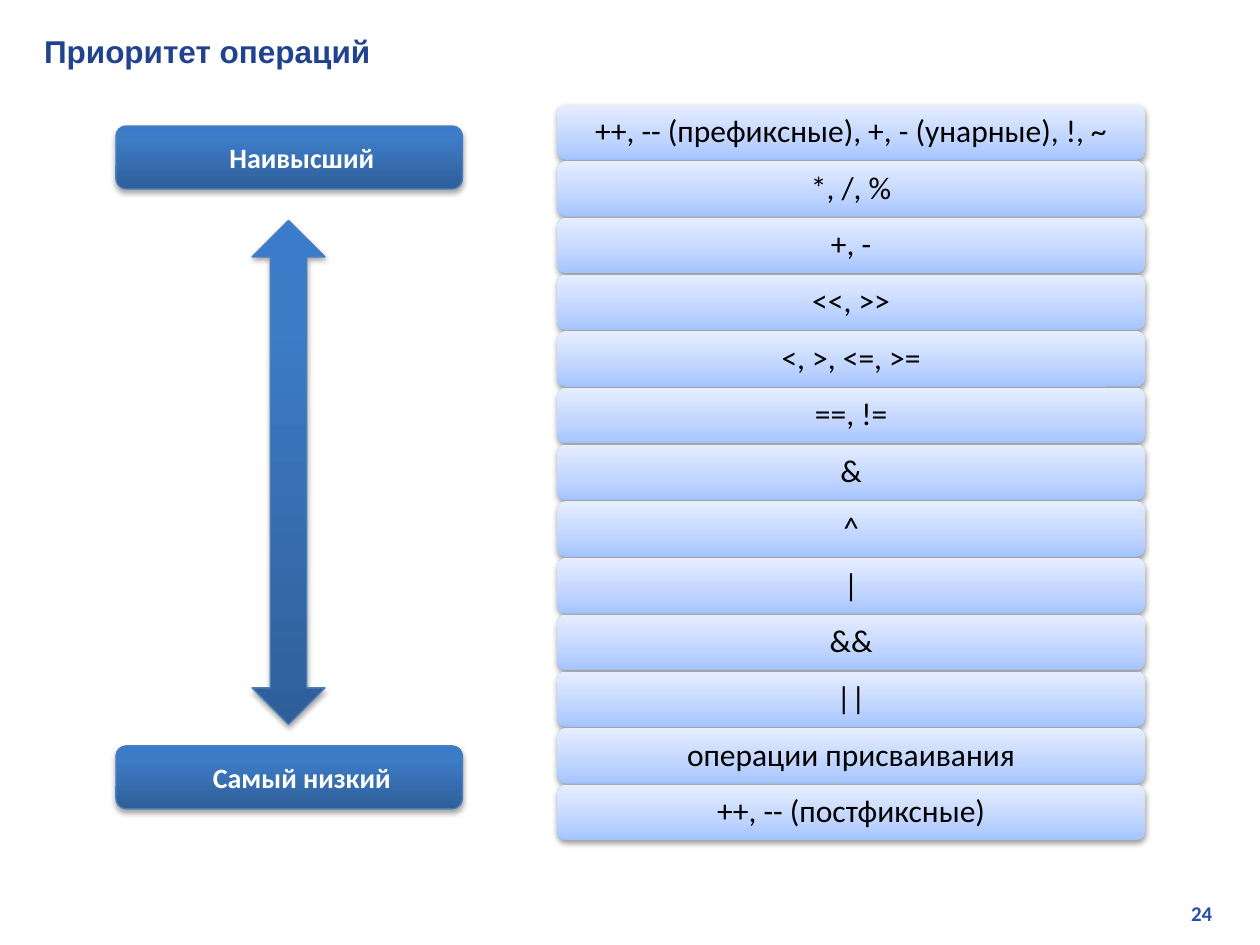
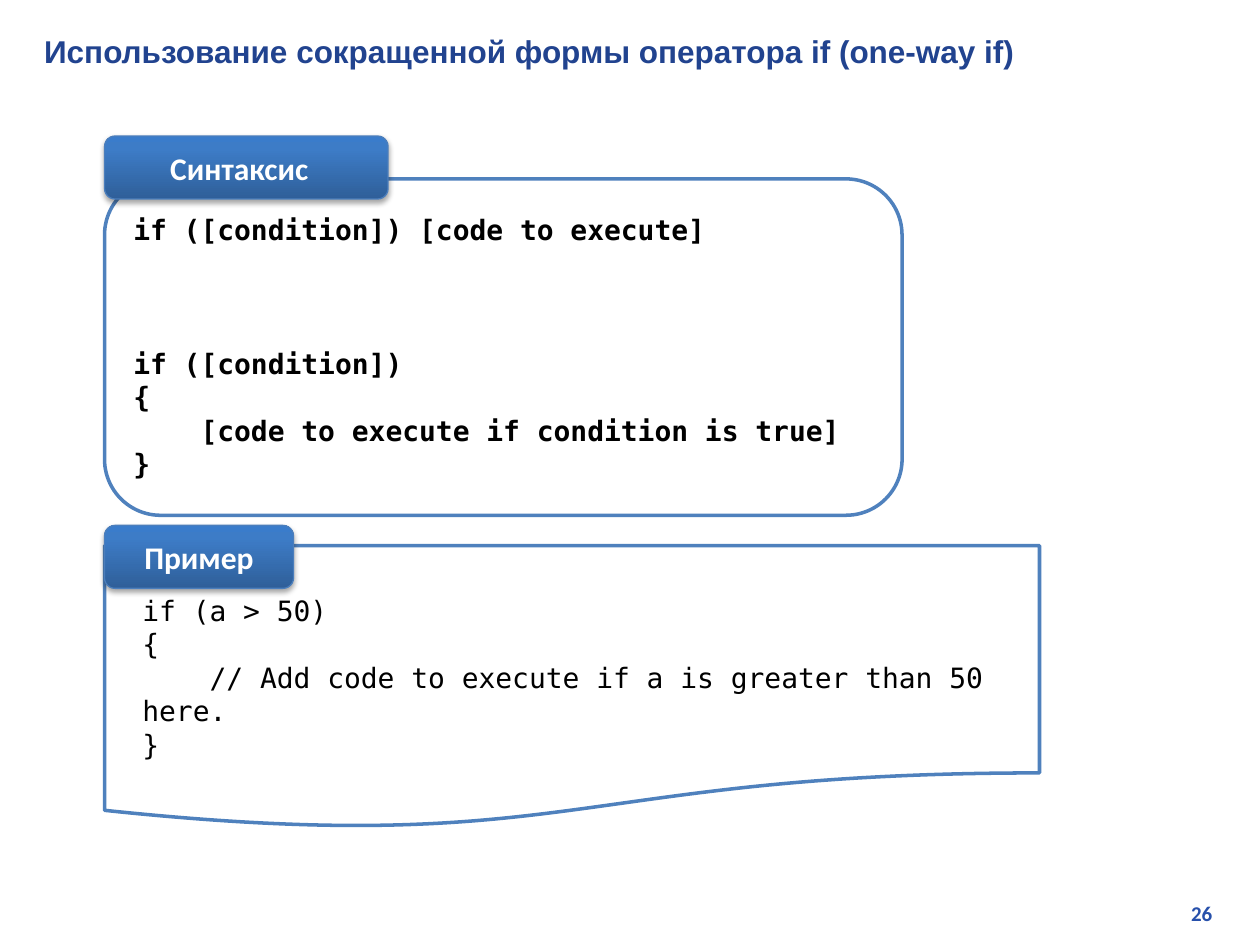
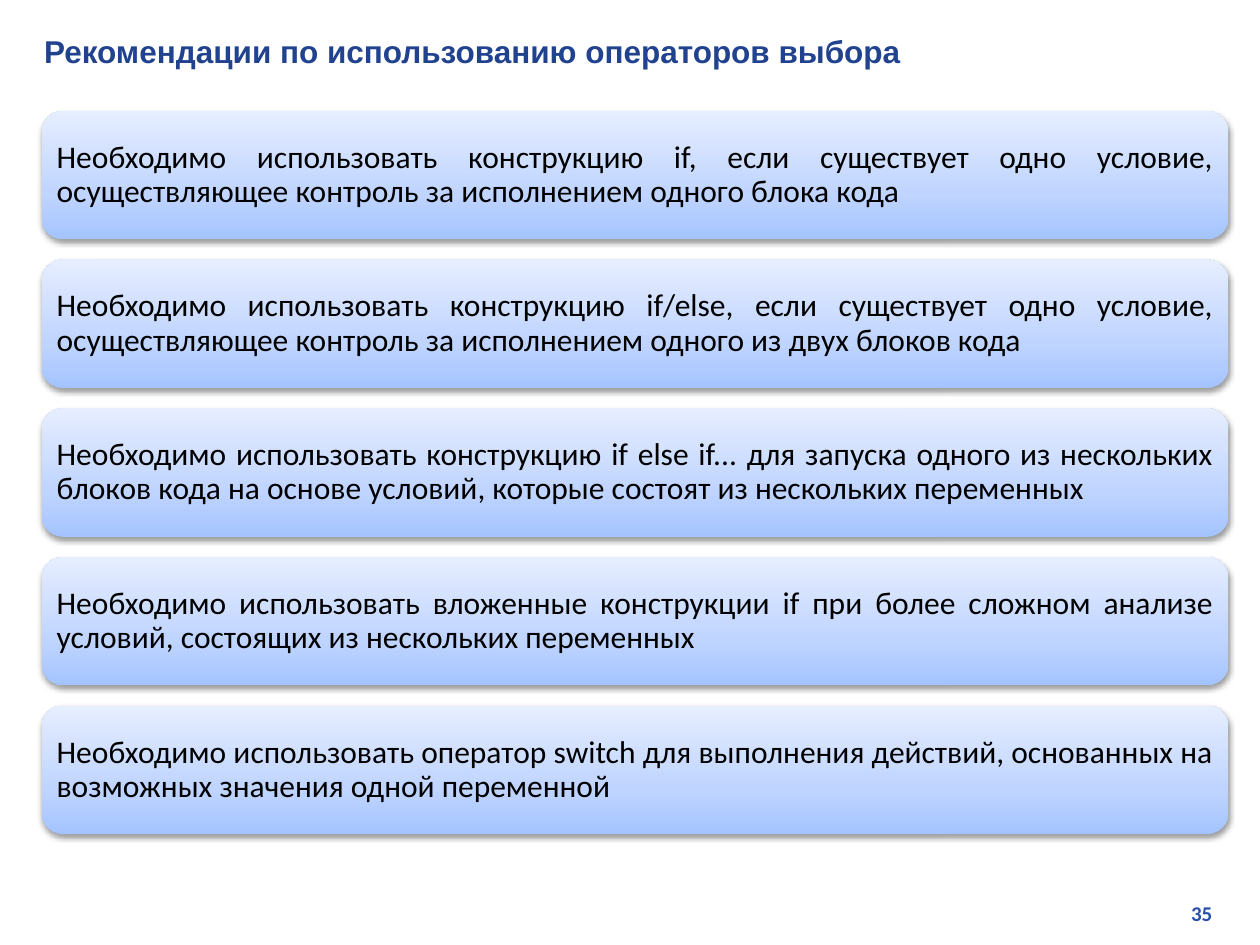
from copy import deepcopy
from dataclasses import dataclass, field
from typing import Any, NamedTuple

from lxml.etree import SubElement
from pptx import Presentation
from pptx.dml.color import RGBColor
from pptx.enum.shapes import MSO_SHAPE
from pptx.enum.text import MSO_ANCHOR, MSO_AUTO_SIZE, PP_ALIGN
from pptx.oxml.ns import qn
from pptx.presentation import Presentation as Deck
from pptx.shapes.autoshape import Shape
from pptx.slide import Slide
from pptx.text.text import TextFrame
from pptx.util import Emu, Pt

PX = 9144


def px(length: int) -> Emu:
    return Emu(length * PX)


class Box(NamedTuple):
    left: int
    top: int
    width: int
    height: int


class Insets(NamedTuple):
    left: int = 10
    top: int = 5
    right: int = 10
    bottom: int = 5


class Stop(NamedTuple):
    position: float
    color: str


class Finish(NamedTuple):
    stops: tuple[Stop, ...]
    shadow_alpha: int
    shadow_distance: int
    outline: str | None = None


class TextStyle(NamedTuple):
    font: str
    size: int
    color: str
    bold: bool = False
    align: PP_ALIGN = PP_ALIGN.LEFT
    line_spacing: Any = 1.0


@dataclass(frozen=True)
class Theme:
    title: TextStyle = TextStyle("Arial", 18, "21438F", True)
    number: TextStyle = TextStyle("Calibri", 12, "2750AB", True, PP_ALIGN.RIGHT)
    level: TextStyle = TextStyle("Calibri", 16, "FFFFFF", True, PP_ALIGN.CENTER)
    caption: TextStyle = TextStyle("Calibri", 18, "FFFFFF", True, PP_ALIGN.CENTER)
    operators: TextStyle = TextStyle("Calibri", 18, "000000", False, PP_ALIGN.CENTER, 0.9)
    advice: TextStyle = TextStyle("Calibri", 18, "000000", False, PP_ALIGN.JUSTIFY, 0.9)
    syntax: TextStyle = TextStyle("DejaVu Sans Mono", 16, "000000", True, line_spacing=Pt(19.1))
    example: TextStyle = TextStyle("DejaVu Sans Mono", 16, "000000", line_spacing=Pt(19.1))
    pale: Finish = Finish((Stop(0, "A4C4FF"), Stop(0.35, "BFD4FF"), Stop(1, "E6EEFF")), 38, 20000)
    deep: Finish = Finish(
        (Stop(0, "2F5F99"), Stop(0.8, "3D7CC7"), Stop(1, "3A7CCB")), 35, 23000, "4B7EBC"
    )
    paper: str = "FFFFFF"
    frame: str = "4F81BD"
    shadow_blur: int = 40000
    thin: float = 0.75
    thick: float = 2


THEME = Theme()
TITLE_BOX = Box(25, 20, 954, 40)
NUMBER_BOX = Box(760, 710, 212, 30)
BAR_INSETS = Insets(7, 7, 7, 7)


@dataclass(frozen=True)
class Label:
    text: str
    box: Box
    style: TextStyle
    insets: Insets = Insets()


@dataclass(frozen=True)
class CodePanel:
    outline: MSO_SHAPE
    box: Box
    lines: tuple[str, ...]
    style: TextStyle
    insets: Insets
    gaps: dict[int, float] = field(default_factory=dict)


@dataclass(frozen=True)
class BarStack:
    first: Box
    pitch: int
    texts: tuple[str, ...]
    style: TextStyle


PRIORITIES = BarStack(
    Box(442, 83, 467, 44),
    45,
    (
        "++, -- (префиксные), +, - (унарные), !, ~",
        "*, /, %",
        "+, -",
        "<<, >>",
        "<, >, <=, >=",
        "==, !=",
        "&",
        "^",
        "|",
        "&&",
        "||",
        "операции присваивания",
        "++, -- (постфиксные)",
    ),
    THEME.operators,
)

LEVELS = (
    Label("Наивысший", Box(92, 100, 275, 50), THEME.level, Insets(left=30)),
    Label("Самый низкий", Box(92, 592, 275, 50), THEME.level, Insets(left=30)),
)
PRIORITY_ARROW = Box(200, 175, 58, 400)

SYNTAX = CodePanel(
    MSO_SHAPE.ROUNDED_RECTANGLE,
    Box(83, 142, 633, 267),
    (
        "if ([condition]) [code to execute]",
        "if ([condition])",
        "{",
        "    [code to execute if condition is true]",
        "}",
    ),
    THEME.syntax,
    Insets(top=14),
    {1: 57.3},
)
EXAMPLE = CodePanel(
    MSO_SHAPE.FLOWCHART_DOCUMENT,
    Box(83, 433, 742, 225),
    (
        "if (a > 50)",
        "{",
        "    // Add code to execute if a is greater than 50 here.",
        "}",
    ),
    THEME.example,
    Insets(left=30, top=38),
)
CAPTIONED_PANELS = (
    (SYNTAX, Label("Cинтаксис", Box(83, 108, 225, 50), THEME.caption, Insets(right=21))),
    (EXAMPLE, Label("Пример", Box(83, 417, 150, 50), THEME.caption)),
)

ADVICE = BarStack(
    Box(33, 88, 942, 102),
    118,
    (
        "Необходимо использовать конструкцию if, если существует одно условие, "
        "осуществляющее контроль за исполнением одного блока кода",
        "Необходимо использовать конструкцию if/else, если существует одно условие, "
        "осуществляющее контроль за исполнением одного из двух блоков кода",
        "Необходимо использовать конструкцию if else if... для запуска одного из "
        "нескольких блоков кода на основе условий, которые состоят из нескольких переменных",
        "Необходимо использовать вложенные конструкции if при более сложном анализе "
        "условий, состоящих из нескольких переменных",
        "Необходимо использовать оператор switch для выполнения действий, основанных "
        "на возможных значения одной переменной",
    ),
    THEME.advice,
)


def assign(target: Any, values: dict[str, Any]) -> None:
    for attribute, value in values.items():
        setattr(target, attribute, value)


def place(box: Box) -> tuple[Emu, ...]:
    return tuple(px(length) for length in box)


def write(
    frame: TextFrame,
    lines: tuple[str, ...],
    style: TextStyle,
    insets: Insets = Insets(),
    anchor: MSO_ANCHOR = MSO_ANCHOR.MIDDLE,
    gaps: dict[int, float] | None = None,
) -> None:
    assign(frame, {
        "word_wrap": True,
        "auto_size": MSO_AUTO_SIZE.NONE,
        "vertical_anchor": anchor,
        "margin_left": px(insets.left),
        "margin_top": px(insets.top),
        "margin_right": px(insets.right),
        "margin_bottom": px(insets.bottom),
    })
    for index, line in enumerate(lines):
        paragraph = frame.add_paragraph() if index else frame.paragraphs[0]
        assign(paragraph, {"alignment": style.align, "line_spacing": style.line_spacing})
        if gaps and index in gaps:
            paragraph.space_before = Pt(gaps[index])
        run = paragraph.add_run()
        run.text = line
        assign(run.font, {"name": style.font, "size": Pt(style.size), "bold": style.bold})
        run.font.color.rgb = RGBColor.from_string(style.color)


def draw_outline(shape: Shape, color: str, width: float) -> None:
    shape.line.color.rgb = RGBColor.from_string(color)
    shape.line.width = Pt(width)


def add_plain(slide: Slide, preset: MSO_SHAPE, box: Box) -> Shape:
    shape = slide.shapes.add_shape(preset, *place(box))
    shape.shadow.inherit = False
    return shape


def add_glossy(slide: Slide, preset: MSO_SHAPE, box: Box, finish: Finish) -> Shape:
    shape = add_plain(slide, preset, box)
    shape.fill.gradient()
    shape.fill.gradient_angle = 90
    properties = shape._element.spPr
    stop_list = properties.find(".//" + qn("a:gsLst"))
    stop_list.append(deepcopy(stop_list[0]))
    for drawn, stop in zip(shape.fill.gradient_stops, finish.stops):
        drawn.color.rgb = RGBColor.from_string(stop.color)
        drawn.position = stop.position
    if finish.outline:
        draw_outline(shape, finish.outline, THEME.thin)
    else:
        shape.line.fill.background()
    shadow = SubElement(
        properties.find(qn("a:effectLst")),
        qn("a:outerShdw"),
        blurRad=str(THEME.shadow_blur),
        dist=str(finish.shadow_distance),
        dir="5400000",
        rotWithShape="0",
    )
    tint = SubElement(shadow, qn("a:srgbClr"), val="000000")
    SubElement(tint, qn("a:alpha"), val=str(finish.shadow_alpha * 1000))
    return shape


def add_label(slide: Slide, label: Label) -> None:
    shape = add_glossy(slide, MSO_SHAPE.ROUNDED_RECTANGLE, label.box, THEME.deep)
    write(shape.text_frame, (label.text,), label.style, label.insets)


def add_bars(slide: Slide, stack: BarStack) -> None:
    for index, text in enumerate(stack.texts):
        box = stack.first._replace(top=stack.first.top + index * stack.pitch)
        bar = add_glossy(slide, MSO_SHAPE.ROUNDED_RECTANGLE, box, THEME.pale)
        write(bar.text_frame, (text,), stack.style, BAR_INSETS)


def add_code(slide: Slide, code: CodePanel) -> None:
    panel = add_plain(slide, code.outline, code.box)
    panel.fill.solid()
    panel.fill.fore_color.rgb = RGBColor.from_string(THEME.paper)
    draw_outline(panel, THEME.frame, THEME.thick)
    write(panel.text_frame, code.lines, code.style, code.insets, MSO_ANCHOR.TOP, code.gaps)


def start_slide(deck: Deck, heading: str, number: int) -> Slide:
    slide = deck.slides.add_slide(deck.slide_layouts[5])
    title = slide.shapes.title
    assign(title, dict(zip(("left", "top", "width", "height"), place(TITLE_BOX))))
    write(title.text_frame, (heading,), THEME.title)
    page = slide.shapes.add_textbox(*place(NUMBER_BOX))
    write(page.text_frame, (str(number),), THEME.number)
    return slide


def build_priorities(deck: Deck) -> None:
    slide = start_slide(deck, "Приоритет операций", 24)
    add_bars(slide, PRIORITIES)
    for level in LEVELS:
        add_label(slide, level)
    add_glossy(slide, MSO_SHAPE.UP_DOWN_ARROW, PRIORITY_ARROW, THEME.deep)


def build_short_if(deck: Deck) -> None:
    slide = start_slide(deck, "Использование сокращенной формы оператора if (one-way if)", 26)
    for code, caption in CAPTIONED_PANELS:
        add_code(slide, code)
        add_label(slide, caption)


def build_advice(deck: Deck) -> None:
    slide = start_slide(deck, "Рекомендации по использованию операторов выбора", 35)
    add_bars(slide, ADVICE)


def main() -> None:
    deck = Presentation()
    assign(deck, {"slide_width": px(1000), "slide_height": px(750)})
    for build in (build_priorities, build_short_if, build_advice):
        build(deck)
    deck.save("out.pptx")


if __name__ == "__main__":
    main()
